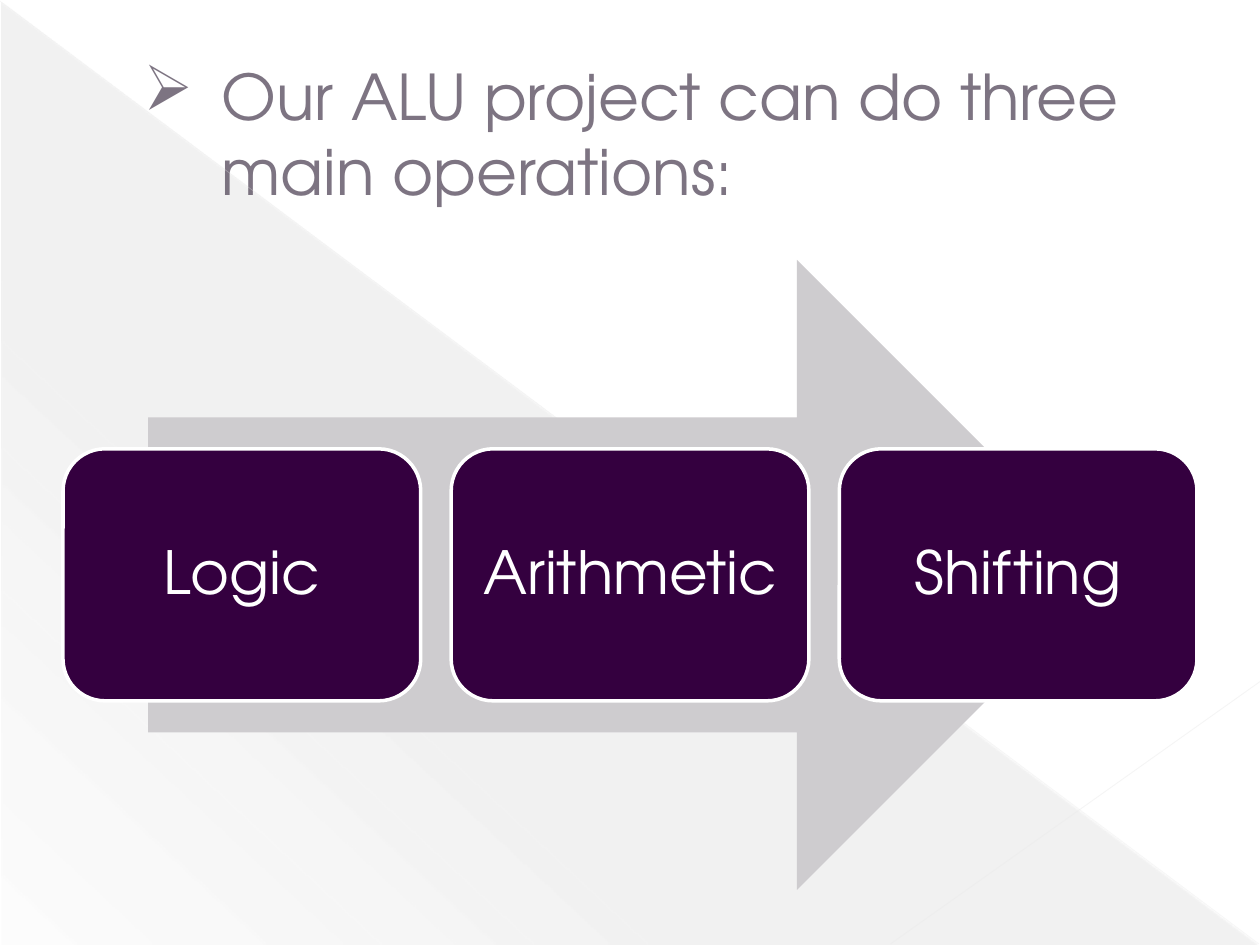
from lxml import etree
from pptx import Presentation
from pptx.dml.color import RGBColor
from pptx.enum.shapes import MSO_CONNECTOR, MSO_SHAPE
from pptx.enum.text import MSO_ANCHOR, MSO_AUTO_SIZE, PP_ALIGN
from pptx.oxml.ns import qn
from pptx.util import Pt

TRIANGLE = MSO_SHAPE.RIGHT_TRIANGLE
ARROW = MSO_SHAPE.RIGHT_ARROW
ROUNDED = MSO_SHAPE.ROUNDED_RECTANGLE
STRAIGHT = MSO_CONNECTOR.STRAIGHT
MIDDLE = MSO_ANCHOR.MIDDLE
NO_AUTOFIT = MSO_AUTO_SIZE.NONE
LEFT, CENTER = PP_ALIGN.LEFT, PP_ALIGN.CENTER

FONT = "TeX Gyre Adventor"
COLORS = {
    "shade": "666666",
    "diagonal": "E8E8E8",
    "corner": "EAEAEA",
    "title": "7D7482",
    "arrow": "CECCCF",
    "card": "34003F",
    "white": "FFFFFF",
}
OPERATIONS = ["Logic", "Arithmetic", "Shifting"]


def rgb(name):
    return RGBColor.from_string(COLORS[name])


def add_alpha(color_element, percent):
    etree.SubElement(color_element, qn("a:alpha"), val=str(percent * 1000))


class SlideBuilder:
    def __init__(self, slide, font):
        self.slide = slide
        self.font = font

    def style_text(self, para, size, color, align):
        para.alignment = align
        para.font.name = self.font
        para.font.size = Pt(size)
        para.font.color.rgb = rgb(color)

    def shape(self, kind, left, top, width, height):
        shape = self.slide.shapes.add_shape(
            kind, Pt(left), Pt(top), Pt(width), Pt(height))
        shape.shadow.inherit = False
        shape.line.fill.background()
        return shape

    def solid_shape(self, kind, left, top, width, height, color):
        shape = self.shape(kind, left, top, width, height)
        shape.fill.solid()
        shape.fill.fore_color.rgb = rgb(color)
        return shape

    def faded_triangle(self, left, top, width, height, stops, angle):
        """Stops are pairs of position and opacity, both in percent."""
        triangle = self.shape(TRIANGLE, left, top, width, height)
        properties = triangle._element.spPr
        gradient = etree.Element(qn("a:gradFill"), rotWithShape="1")
        stop_list = etree.SubElement(gradient, qn("a:gsLst"))
        for position, opacity in stops:
            stop = etree.SubElement(stop_list, qn("a:gs"), pos=str(position * 1000))
            color = etree.SubElement(stop, qn("a:srgbClr"), val=COLORS["shade"])
            add_alpha(color, opacity)
        etree.SubElement(gradient, qn("a:lin"), ang=str(angle * 60000), scaled="0")
        properties.find(qn("a:prstGeom")).addnext(gradient)

    def line(self, start, end, color, width, opacity):
        line = self.slide.shapes.add_connector(
            STRAIGHT, *(Pt(value) for value in start + end))
        line.line.width = Pt(width)
        line.line.color.rgb = rgb(color)
        properties = line._element.spPr
        add_alpha(properties.find(".//" + qn("a:srgbClr")), opacity)
        etree.SubElement(properties, qn("a:effectLst"))

    def title(self, text, left, top, width, height, indent, hanging):
        title = self.slide.shapes.title
        title.left, title.top = Pt(left), Pt(top)
        title.width, title.height = Pt(width), Pt(height)
        frame = title.text_frame
        frame.text = text
        frame.word_wrap = True
        frame.auto_size = NO_AUTOFIT
        frame.vertical_anchor = MIDDLE
        para = frame.paragraphs[0]
        self.style_text(para, 36, "title", LEFT)
        properties = para._p.get_or_add_pPr()
        properties.set("marL", str(Pt(indent)))
        properties.set("indent", str(Pt(-hanging)))
        bullet = etree.Element(qn("a:buChar"), char="➢")
        properties.find(qn("a:defRPr")).addprevious(bullet)

    def card(self, text, left, top, width, height):
        card = self.solid_shape(ROUNDED, left, top, width, height, "card")
        card.line.color.rgb = rgb("white")
        card.line.width = Pt(2)
        frame = card.text_frame
        frame.text = text
        frame.word_wrap = True
        frame.vertical_anchor = MIDDLE
        frame.margin_left = frame.margin_right = Pt(10)
        frame.margin_top = frame.margin_bottom = Pt(10)
        para = frame.paragraphs[0]
        para.line_spacing = 0.9
        self.style_text(para, 34, "white", CENTER)


def main():
    deck = Presentation()
    deck.slide_width, deck.slide_height = Pt(720), Pt(540)
    title_only = deck.slide_layouts[5]
    builder = SlideBuilder(deck.slides.add_slide(title_only), FONT)

    builder.faded_triangle(0.7, 1.4, 718.6, 538.6, [(0, 10), (70, 8), (100, 1)], 133)
    builder.line((0, 0.7), (719.3, 539.3), "diagonal", 0.39, 35)
    builder.line((720, 389.5), (509, 539.3), "corner", 0.47, 45)

    builder.title("Our ALU project can do three main operations:",
                  36, 21, 648, 110, indent=83.5, hanging=44.6)

    builder.solid_shape(ARROW, 84.6, 148.5, 550.8, 360, "arrow")
    margin, gap = 36, 17.4
    card_width = (720 - 2 * margin - 2 * gap) / 3
    for index, operation in enumerate(OPERATIONS):
        left = margin + index * (card_width + gap)
        builder.card(operation, left, 256.5, card_width, 144)

    deck.save("out.pptx")


if __name__ == "__main__":
    main()
